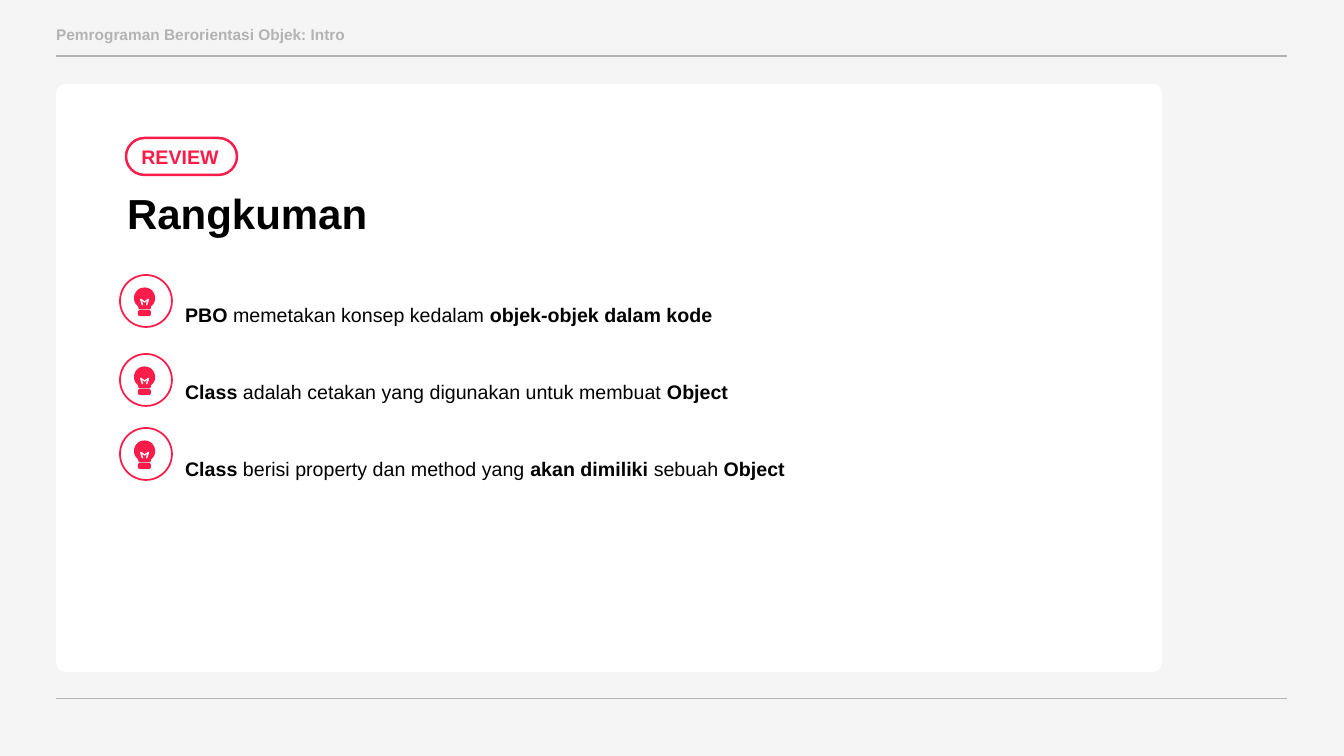
"""Builds the summary slide of an introduction to object-oriented programming."""
from lxml import etree
from pptx import Presentation, util as u
from pptx.dml.color import RGBColor
from pptx.enum import shapes, text
from pptx.oxml.ns import qn

PX = 12192000 / 1344
PAGE = RGBColor(0xF5, 0xF5, 0xF5)
RULE = RGBColor(0xB3, 0xB3, 0xB3)
WHITE = RGBColor(0xFF, 0xFF, 0xFF)
BLACK = RGBColor(0x00, 0x00, 0x00)
RED = RGBColor(0xFC, 0x1C, 0x49)

BULB_AXIS = 246
BULB_CURVES = [
    [(246, 125), (186, 125), (140, 172), (140, 231)],
    [(140, 231), (140, 260), (151, 285), (170, 302)],
    [(170, 302), (178, 310), (183, 316), (183, 325)],
    [(183, 325), (183, 336), (190, 345), (201, 345)],
]
FILAMENT = [(246, 263), (210, 236), (200, 243), (218, 300), (226, 304),
            (231, 297), (222, 255), (240, 274), (246, 276)]
ICON_TOPS = (275, 354, 428)
POINTS = [
    [("PBO ", True), ("memetakan konsep kedalam ", False),
     ("objek-objek dalam kode", True)],
    [("Class ", True), ("adalah cetakan yang digunakan untuk membuat ", False),
     ("Object", True)],
    [("Class ", True), ("berisi property dan method yang ", False),
     ("akan dimiliki", True), (" sebuah ", False), ("Object", True)],
]


def px(n):
    """Turn pixels into EMU."""
    return u.Emu(round(n * PX))


def write(sp, paragraphs, size, color, spacing=1.0, gap=0,
          anchor=text.MSO_ANCHOR.TOP):
    """Fill a shape with left-aligned paragraphs of (text, bold) runs."""
    tf = sp.text_frame
    tf.word_wrap = True
    tf.auto_size = text.MSO_AUTO_SIZE.NONE
    tf.vertical_anchor = anchor
    for i, runs in enumerate(paragraphs):
        p = tf.add_paragraph() if i else tf.paragraphs[0]
        pPr = p._p.get_or_add_pPr()
        pPr.set("marL", "0")
        pPr.set("indent", "0")
        etree.SubElement(pPr, qn("a:buNone"))
        p.alignment = text.PP_ALIGN.LEFT
        p.line_spacing = spacing
        p.space_before = u.Pt(gap if i else 0)
        for words, bold in runs:
            r = p.add_run()
            r.text = words
            r.font.name = "Arial"
            r.font.size = u.Pt(size)
            r.font.bold = bold
            r.font.color.rgb = color


def place(sp, left, top, width, height):
    """Move and size a placeholder."""
    sp.left, sp.top, sp.width, sp.height = map(px, (left, top, width, height))
    return sp


def paint(sp, fill, line=None, weight=0):
    """Give a shape a flat fill and an optional outline."""
    sp.shadow.inherit = False
    sp.fill.solid()
    sp.fill.fore_color.rgb = fill
    if line is None:
        sp.line.fill.background()
    else:
        sp.line.color.rgb = line
        sp.line.width = u.Pt(weight)
    return sp


def add_preset(parent, kind, box, fill, line=None, weight=0):
    """Add a painted preset shape."""
    return paint(parent.add_shape(kind, *map(px, box)), fill, line, weight)


def add_rule(s, y):
    """Draw a thin line across the slide."""
    cx = s.shapes.add_connector(shapes.MSO_CONNECTOR.STRAIGHT,
                                px(56), px(y), px(1287), px(y))
    cx.line.color.rgb = RULE
    cx.line.width = u.Pt(0.75)
    etree.SubElement(cx._element.spPr, qn("a:effectLst"))


def sample(curve, steps=8):
    """Return points along a cubic Bezier curve."""
    points = []
    for i in range(steps + 1):
        t = i / steps
        weights = ((1 - t) ** 3, 3 * t * (1 - t) ** 2, 3 * t * t * (1 - t), t ** 3)
        points.append(tuple(round(sum(w * c for w, c in zip(weights, axis)))
                            for axis in zip(*curve)))
    return points


def add_mirrored(parent, half, left, top, fill):
    """Add an outline from its left half, in tenths of a pixel."""
    outline = half + [(2 * BULB_AXIS - x, y) for x, y in reversed(half)]
    builder = parent.build_freeform(*outline[0], scale=PX / 10)
    builder.add_line_segments(outline[1:], close=True)
    paint(builder.convert_to_shape(px(left), px(top)), fill)


def add_bulb_icon(s, left, top):
    """Add a light bulb in a ring as one group."""
    parent = s.shapes.add_group_shape().shapes
    add_preset(parent, shapes.MSO_SHAPE.OVAL, (left, top, 52, 52), WHITE, RED, 1.25)
    bulb = [point for curve in BULB_CURVES for point in sample(curve)]
    add_mirrored(parent, bulb, left, top, RED)
    base = add_preset(parent, shapes.MSO_SHAPE.ROUNDED_RECTANGLE,
                      (left + 18, top + 35, 13, 6), RED)
    base.adjustments[0] = 0.35
    add_mirrored(parent, FILAMENT, left, top, WHITE)


def add_card(s):
    """Add the white card behind the placeholders."""
    card = add_preset(s.shapes, shapes.MSO_SHAPE.ROUNDED_RECTANGLE,
                      (56, 84, 1106, 588), WHITE)
    card.adjustments[0] = 0.016
    s.shapes._spTree.insert(2, card._element)


def add_badge(s, label):
    """Add the outlined pill above the title."""
    badge = add_preset(s.shapes, shapes.MSO_SHAPE.ROUNDED_RECTANGLE,
                       (126, 138, 111, 37), WHITE, RED, 1.75)
    badge.adjustments[0] = 0.5
    write(badge, [[(label, True)]], 14, RED, anchor=text.MSO_ANCHOR.MIDDLE)


def main():
    """Build and save the slide."""
    prs = Presentation()
    prs.slide_width, prs.slide_height = px(1344), px(756)
    s = prs.slides.add_slide(prs.slide_layouts.get_by_name("Content with Caption"))
    s.background.fill.solid()
    s.background.fill.fore_color.rgb = PAGE
    title, points, header = s.placeholders
    add_card(s)
    for y in (56, 699):
        add_rule(s, y)
    write(place(header, 46, 20, 589, 29),
          [[("Pemrograman Berorientasi Objek: Intro", True)]], 11, RULE)
    add_badge(s, "REVIEW")
    write(place(title, 117, 172, 422, 68), [[("Rangkuman", True)]], 30, BLACK, 1.21)
    write(place(points, 175, 286, 834, 206), POINTS, 14, BLACK, 1.49, gap=30)
    for top in ICON_TOPS:
        add_bulb_icon(s, 120, top)
    prs.save("out.pptx")


if __name__ == "__main__":
    main()
